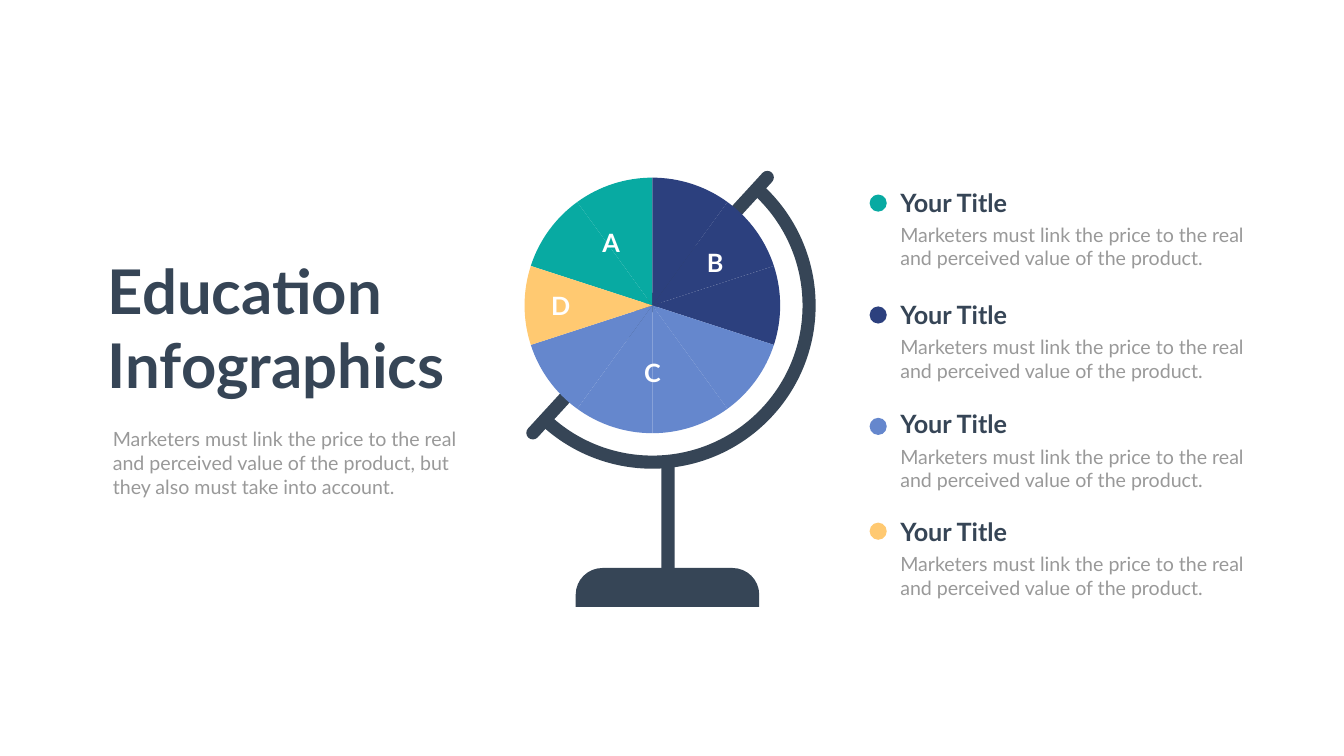
from dataclasses import dataclass
from math import atan2, cos, degrees, radians, sin, tan

from pptx import Presentation, util as u
from pptx.dml.color import RGBColor
from pptx.enum import shapes as sh, text as tx
from pptx.oxml import ns


@dataclass(frozen=True)
class Theme:
    font: str = "Lato"
    dark: str = "364556"
    grey: str = "999999"
    white: str = "FFFFFF"
    teal: str = "08AAA2"
    navy: str = "2C407E"
    blue: str = "6587CD"
    gold: str = "FFC971"
    title: int = 88
    head: int = 36
    body: int = 28


@dataclass(frozen=True)
class Part:
    """A lettered group of globe slices with the place of its label."""
    name: str
    color: str
    count: int
    left: float
    top: float


@dataclass(frozen=True)
class Item:
    """A legend entry: row of its heading and row of its dot."""
    color: str
    top: float
    dot: float


Point = tuple[float, float]
Leg = list[Point]  # one point is a line, three are a curve
T = Theme()
COLS, ROWS = 26.66, 15  # grid of one-inch cells
HUB = (12.94, 6.06)
SLICES, RADIUS = 10, 2.535
BAR = 0.26  # thickness of the stand

PARTS = [
    Part("A", T.teal, 2, 11.49, 4.46),
    Part("B", T.navy, 3, 13.55, 4.85),
    Part("C", T.blue, 4, 12.31, 7.04),
    Part("D", T.gold, 1, 10.49, 5.72),
]
ITEMS = [
    Item(T.teal, 3.66, 3.86),
    Item(T.navy, 5.89, 6.08),
    Item(T.blue, 8.06, 8.29),
    Item(T.gold, 10.2, 10.37),
]
NOTE = "Marketers must link the price to the real and perceived value of the product"

deck = Presentation()
deck.slide_width, deck.slide_height = u.Inches(COLS), u.Inches(ROWS)
slide = deck.slides.add_slide(deck.slide_layouts[6])


def paint(shape, color: str) -> None:
    """Fill a shape plainly, with no outline or shadow."""
    shape.shadow.inherit = False
    shape.fill.solid()
    shape.fill.fore_color.rgb = RGBColor.from_string(color)
    shape.line.fill.background()


def polar(mid: Point, radius: float, angle: float) -> Point:
    """Point at a clockwise angle from straight up."""
    turn = radians(angle)
    return mid[0] + radius * sin(turn), mid[1] - radius * cos(turn)


def arc(mid: Point, radius: float, start: float, end: float) -> list[Leg]:
    """Line to the start of an arc, then one curve for each quadrant."""
    low, high = sorted((start, end))
    cuts = [a for a in range(-360, 721, 90) if low < a < high]
    stops = sorted([start, *cuts, end], reverse=start > end)
    legs = [[polar(mid, radius, start)]]
    for a, b in zip(stops, stops[1:]):
        pull = 4 / 3 * tan(radians(b - a) / 4) * radius
        near, far = polar(mid, radius, a), polar(mid, radius, b)
        legs.append([polar(near, pull, a + 90), polar(far, -pull, b + 90), far])
    return legs


def outline(legs: list[Leg], color: str) -> None:
    first, *rest = [(u.Inches(x), u.Inches(y)) for leg in legs for x, y in leg]
    pen = slide.shapes.build_freeform(*first)
    pen.add_line_segments(rest, close=True)
    shape = pen.convert_to_shape()
    # Join each run of three points into one curve
    lines = iter(list(shape.element.iter(ns.qn("a:lnTo"))))
    for leg in legs[1:]:
        base, *more = [next(lines) for _ in leg]
        if more:
            base.tag = ns.qn("a:cubicBezTo")
        for line in more:
            base.append(line[0])
            line.getparent().remove(line)
    paint(shape, color)


def rod(foot: Point, tip: Point) -> None:
    """Bar with rounded ends."""
    way = degrees(atan2(tip[0] - foot[0], foot[1] - tip[1]))
    outline(arc(tip, BAR / 2, way - 90, way + 90)
            + arc(foot, BAR / 2, way + 90, way + 270), T.dark)


def write(words: str, left: float, top: float, wide: float, high: float, *,
          size: int, color: str, bold: bool = False, center: bool = False) -> None:
    box = slide.shapes.add_textbox(*map(u.Inches, (left, top, wide, high)))
    frame = box.text_frame
    frame.word_wrap = True
    frame.auto_size = tx.MSO_AUTO_SIZE.SHAPE_TO_FIT_TEXT
    para = frame.paragraphs[0]
    if center:
        para.alignment = tx.PP_ALIGN.CENTER
    run = para.add_run()
    run.text = words
    run.font.name, run.font.size, run.font.bold = T.font, u.Pt(size), bold
    run.font.color.rgb = RGBColor.from_string(color)


def stand() -> None:
    # Half ring with rounded ends
    start, end, outer = 42.3, 222.3, 3.24
    mid, cap = outer - BAR / 2, BAR / 2
    outline(arc(HUB, outer, start, end)
            + arc(polar(HUB, mid, end), cap, end, end + 180)
            + arc(HUB, outer - BAR, end, start)
            + arc(polar(HUB, mid, start), cap, start + 180, start + 360), T.dark)
    # Base with rounded top corners
    left, right, top, foot, bend = 11.42, 15.06, 11.27, 12.04, 0.53
    outline([[(left, foot)]]
            + arc((left + bend, top + bend), bend, 270, 360)
            + arc((right - bend, top + bend), bend, 0, 90)
            + [[(right, foot)]], T.dark)
    # Tilted axis and upright pole
    rod((10.57, 8.59), (15.22, 3.52))
    rod((13.25, 11.67), (13.25, 9.17))


def globe() -> None:
    step = 360 / SLICES
    angle = -PARTS[0].count * step
    for part in PARTS:
        for _ in range(part.count):
            outline([[HUB]] + arc(HUB, RADIUS, angle, angle + step), part.color)
            angle += step
    for part in PARTS:
        write(part.name, part.left, part.top, 1.27, 0.71,
              size=T.head, color=T.white, bold=True, center=True)


def entry(item: Item) -> None:
    left, high = 17.76, 0.71
    write(NOTE + ".", left, item.top + high, 7.49, 1.04,
          size=T.body, color=T.grey)
    write("Your Title", left, item.top, 4.33, high,
          size=T.head, color=T.dark, bold=True)


def dot(item: Item) -> None:
    box = map(u.Inches, (17.25, item.dot, 0.34, 0.34))
    paint(slide.shapes.add_shape(sh.MSO_SHAPE.OVAL, *box), item.color)


# Globe
stand()
globe()

# Legend text
for item in ITEMS:
    entry(item)

# Heading and introduction
write("Education Infographics", 2.04, 4.97, 7.8, 3.06,
      size=T.title, color=T.dark, bold=True)
write(NOTE + ", but they also must take into account.", 2.14, 8.43, 7.33, 1.51,
      size=T.body, color=T.grey)

# Legend dots
for item in ITEMS:
    dot(item)

deck.save("out.pptx")
